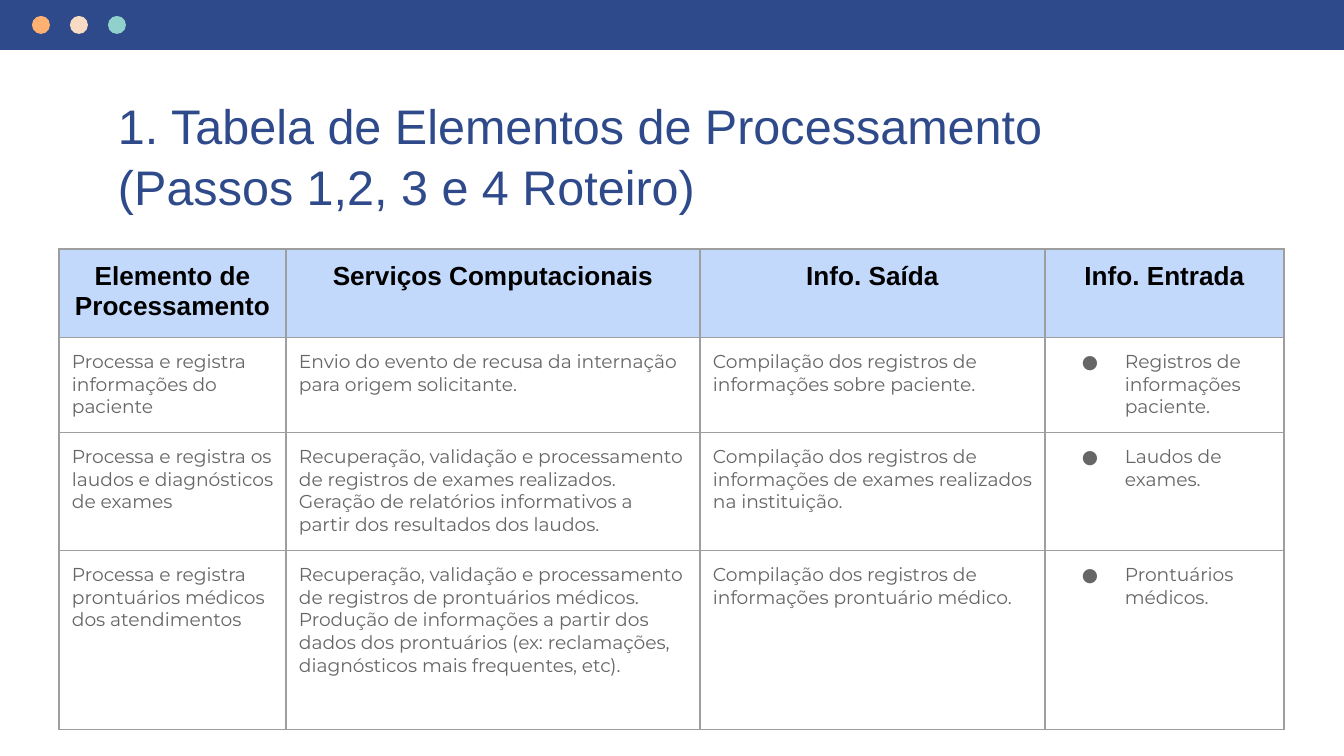
from pptx import Presentation
from pptx.dml.color import RGBColor
from pptx.enum.shapes import MSO_SHAPE as Shape
from pptx.enum.text import PP_ALIGN as Align
from pptx.oxml import parse_xml
from pptx.oxml.ns import nsdecls
from pptx.util import Pt

SCALE = 914400 / 134.4
MARGIN = 13
COLORS = {
    "navy": "2F4A8A", "orange": "FFB172", "cream": "F8DBC4", "teal": "90D1CB",
    "header": "C3D9FB", "black": "000000", "gray": "666666", "border": "9E9E9E",
}
TITLE = {"name": "Arial", "size": Pt(26), "color": "navy"}
HEADER = {"name": "Arial", "size": Pt(14), "bold": True, "color": "black"}
BODY = {"name": "Montserrat", "size": Pt(10), "bold": False, "color": "gray"}


def px(value):
    return round(value * SCALE)


def write(text_frame, text, style):
    paragraph = text_frame.paragraphs[0]
    run = paragraph.add_run()
    run.text = text
    for name, value in style.items():
        if name == "color":
            run.font.color.rgb = RGBColor.from_string(COLORS[value])
        else:
            setattr(run.font, name, value)
    return paragraph


presentation = Presentation()
presentation.slide_width, presentation.slide_height = px(1344), px(756)
slide = presentation.slides.add_slide(presentation.slide_layouts[6])

# Top bar with three dots
decorations = [(Shape.RECTANGLE, 0, 0, 1344, 50, "navy")]
for index, color in enumerate(["orange", "cream", "teal"]):
    decorations.append((Shape.OVAL, 32 + 38 * index, 16, 18, 18, color))
for kind, left, top, width, height, color in decorations:
    shape = slide.shapes.add_shape(kind, px(left), px(top), px(width), px(height))
    shape.shadow.inherit = False
    shape.fill.solid()
    shape.fill.fore_color.rgb = RGBColor.from_string(COLORS[color])
    shape.line.fill.background()

# Title
title = slide.shapes.add_textbox(px(105), px(81), px(1134), px(69))
frame = title.text_frame
frame.word_wrap = True
for side in ("left", "right", "top", "bottom"):
    setattr(frame, f"margin_{side}", px(MARGIN))
paragraph = write(frame, "1. Tabela de Elementos de Processamento (Passos 1,2, 3 e 4 Roteiro)", TITLE)
paragraph.line_spacing = 1.04

# Table of processing elements
rows = [
    ["Elemento de Processamento", "Serviços Computacionais", "Info. Saída", "Info. Entrada"],
    ["Processa e registra informações do paciente",
     "Envio do evento de recusa da internação para origem solicitante.",
     "Compilação dos registros de informações sobre paciente.",
     "Registros de informações paciente."],
    ["Processa e registra os laudos e diagnósticos de exames",
     "Recuperação, validação e processamento de registros de exames realizados. "
     "Geração de relatórios informativos a partir dos resultados dos laudos.",
     "Compilação dos registros de informações de exames realizados na instituição.",
     "Laudos de exames."],
    ["Processa e registra prontuários médicos dos atendimentos",
     "Recuperação, validação e processamento de registros de prontuários médicos. "
     "Produção de informações a partir dos dados dos prontuários "
     "(ex: reclamações, diagnósticos mais frequentes, etc).",
     "Compilação dos registros de informações prontuário médico.",
     "Prontuários médicos."],
]
widths = [227, 414, 345, 239]
heights = [86, 95, 118, 179]
table = slide.shapes.add_table(
    len(rows), len(widths), px(59), px(249), px(sum(widths)), px(sum(heights))).table
table.first_row = table.horz_banding = False
for column, width in zip(table.columns, widths):
    column.width = px(width)
for row, height in zip(table.rows, heights):
    row.height = px(height)

for row_index, texts in enumerate(rows):
    for column_index, text in enumerate(texts):
        cell = table.cell(row_index, column_index)
        for side in ("left", "right", "top", "bottom"):
            setattr(cell, f"margin_{side}", px(MARGIN))

        # Borders come before the fill in the cell properties
        properties = cell._tc.get_or_add_tcPr()
        for edge in ("lnL", "lnR", "lnT", "lnB"):
            properties.append(parse_xml(
                f'<a:{edge} {nsdecls("a")} w="{Pt(0.75)}"><a:solidFill>'
                f'<a:srgbClr val="{COLORS["border"]}"/></a:solidFill></a:{edge}>'))

        if row_index == 0:
            cell.fill.solid()
            cell.fill.fore_color.rgb = RGBColor.from_string(COLORS["header"])
            write(cell.text_frame, text, HEADER).alignment = Align.CENTER
            continue
        cell.fill.background()
        paragraph = write(cell.text_frame, text, BODY)

        # Bullets in the last column
        if column_index == 3:
            bullet = paragraph._p.get_or_add_pPr()
            bullet.set("marL", str(px(67)))
            bullet.set("indent", str(px(-43)))
            for element in (
                f'<a:buClr {nsdecls("a")}><a:srgbClr val="{COLORS["gray"]}"/></a:buClr>',
                f'<a:buFont {nsdecls("a")} typeface="Montserrat"/>',
                f'<a:buChar {nsdecls("a")} char="●"/>',
            ):
                bullet.append(parse_xml(element))

presentation.save("out.pptx")
